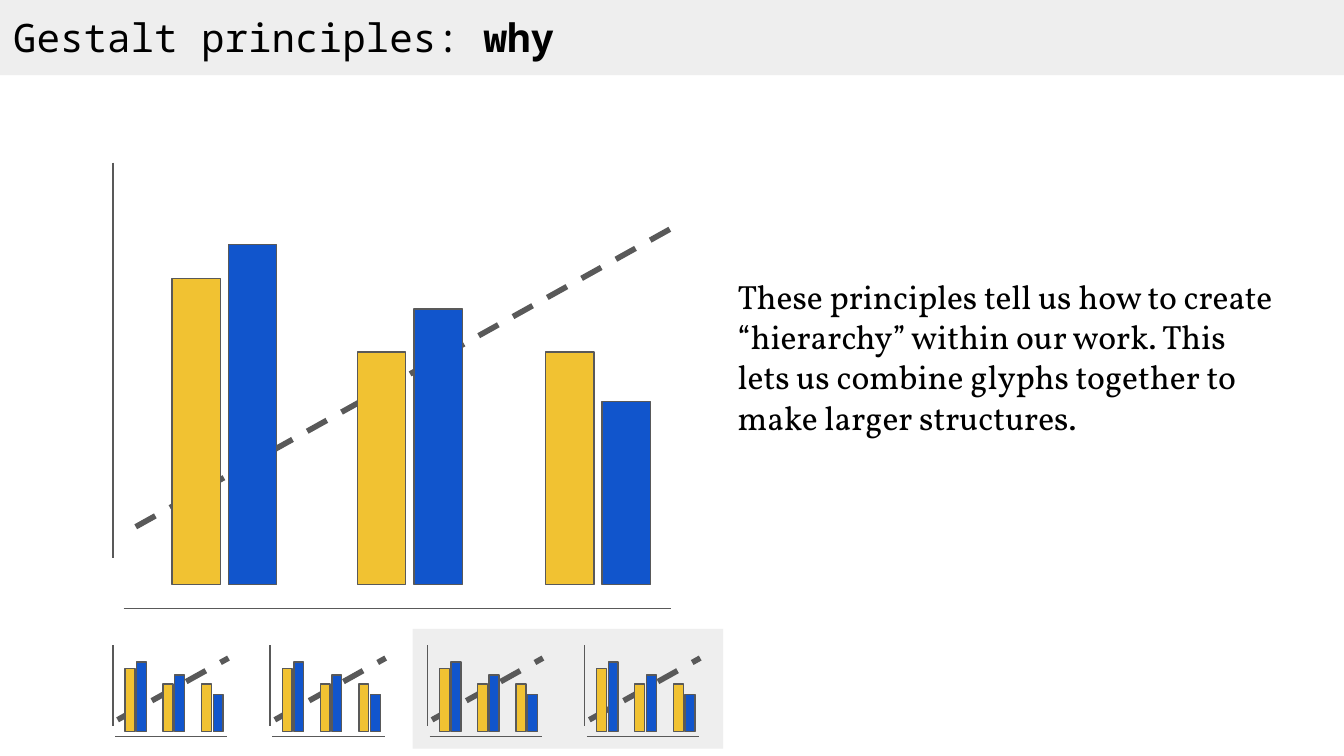
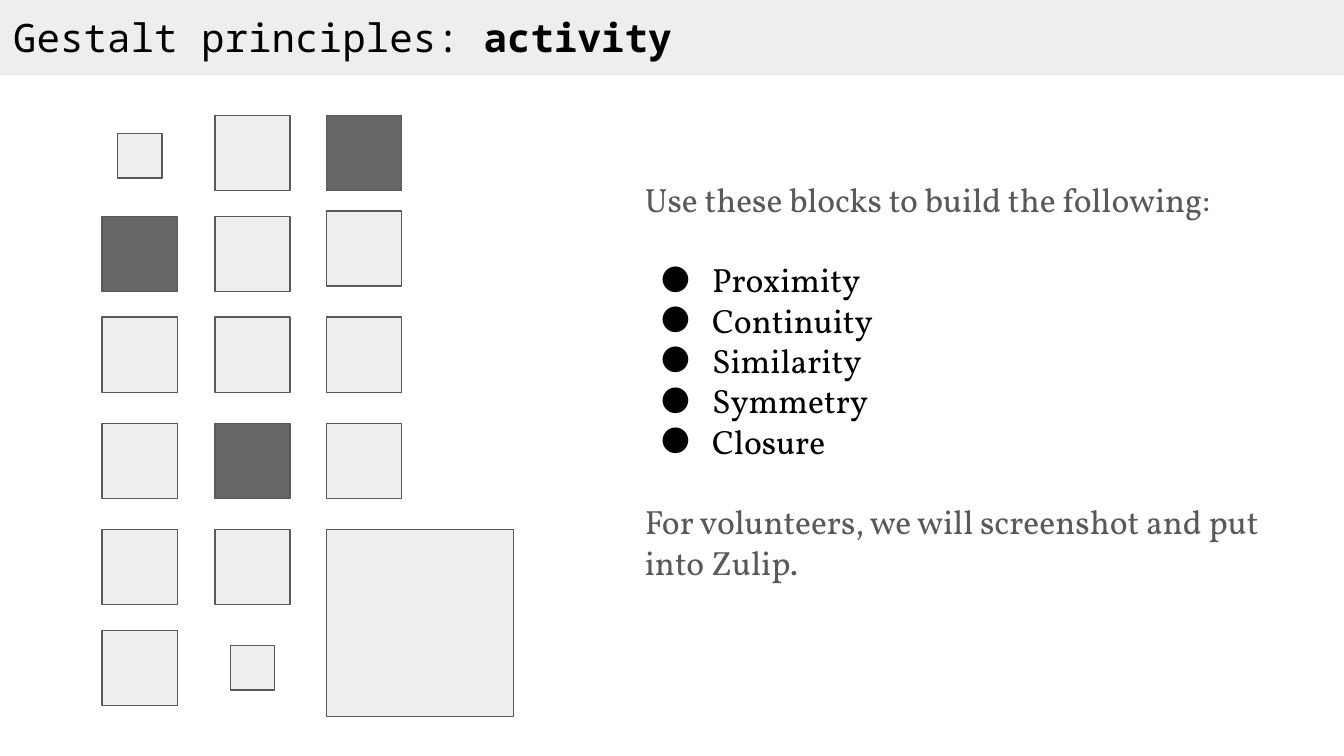
from dataclasses import dataclass

from lxml.etree import SubElement
from pptx import Presentation
from pptx.dml.color import RGBColor as Color
from pptx.enum.dml import MSO_LINE_DASH_STYLE as Dash
from pptx.enum.shapes import MSO_CONNECTOR_TYPE as Connector, MSO_SHAPE as Shape
from pptx.enum.text import MSO_AUTO_SIZE as AutoSize, PP_ALIGN as Align
from pptx.oxml.ns import qn
from pptx.util import Inches, Pt


@dataclass(frozen=True)
class Theme:
    black: Color = Color.from_string("000000")
    grey: Color = Color.from_string("595959")
    dark: Color = Color.from_string("666666")
    light: Color = Color.from_string("EEEEEE")
    yellow: Color = Color.from_string("F1C232")
    blue: Color = Color.from_string("1155CC")
    title_font: str = "Noto Sans Mono"
    body_font: str = "Vollkorn"
    title_size: Pt = Pt(21)
    body_size: Pt = Pt(18)
    paragraph_gap: Pt = Pt(21.6)
    thin: Pt = Pt(0.75)
    thick: Pt = Pt(3)


THEME = Theme()

SLIDE_WIDTH = 10
SLIDE_HEIGHT = SLIDE_WIDTH * 9 / 16

# Bar chart, measured from the top of its vertical axis
CHART_WIDTH = 4.19
BAR_WIDTH = 0.36
BAR_STEP = 0.42
BAR_BASE = 3.14
BAR_PAIRS = [(0.44, 2.28, 2.53), (1.82, 1.73, 2.05), (3.22, 1.73, 1.36)]
CHART_LEFT = 0.84
MINI_WIDTH = 0.86
MINI_STEP = 1.17

# Blocks: s small, l light, d dark, b big
BLOCK_ROWS = ["sld", "dll", "lll", "ldl", "llb", "ls"]
ROW_TOPS = [0.86, 1.61, 2.36, 3.15, 3.94, 4.69]
COLUMN_LEFTS = [0.76, 1.6, 2.43]
BLOCK_SIZE = 0.56
BLOCK_SIZES = {"s": 0.33, "b": 1.39}
NUDGES = {(0, 0): 0.02, (1, 2): -0.04}

PRINCIPLES = ["Proximity", "Continuity", "Similarity", "Symmetry", "Closure"]


def add_rectangle(shapes, left, top, width, height, fill, outlined=True):
    shape = shapes.add_shape(
        Shape.RECTANGLE, Inches(left), Inches(top), Inches(width), Inches(height)
    )
    shape.shadow.inherit = False
    shape.fill.solid()
    shape.fill.fore_color.rgb = fill
    if outlined:
        shape.line.color.rgb = THEME.grey
        shape.line.width = THEME.thin
    else:
        shape.line.fill.background()


def add_line(shapes, start, end, width=THEME.thin, dash=None):
    line = shapes.add_connector(Connector.STRAIGHT, *map(Inches, start + end))
    line.line.color.rgb = THEME.grey
    line.line.width = width
    if dash:
        line.line.dash_style = dash
    SubElement(line._element.spPr, qn("a:effectLst"))


def add_text_box(slide, left, top, width, height, grow=True):
    box = slide.shapes.add_textbox(
        Inches(left), Inches(top), Inches(width), Inches(height)
    )
    text_frame = box.text_frame
    text_frame.word_wrap = True
    text_frame.auto_size = AutoSize.SHAPE_TO_FIT_TEXT if grow else AutoSize.NONE
    text_frame.margin_left = text_frame.margin_right = Inches(0.1)
    text_frame.margin_top = text_frame.margin_bottom = Inches(0.1)
    return text_frame


def format_run(run, font, size, color, bold=False):
    run.font.name = font
    run.font.size = size
    run.font.color.rgb = color
    run.font.bold = bold


def set_body_text(paragraph, text, color):
    paragraph.text = text
    paragraph.alignment = Align.LEFT
    format_run(paragraph.runs[0], THEME.body_font, THEME.body_size, color)


def add_bullet(paragraph):
    properties = paragraph._p.get_or_add_pPr()
    properties.set("marL", str(Inches(0.5)))
    properties.set("indent", str(Inches(-0.38)))
    color = SubElement(properties, qn("a:buClr"))
    SubElement(color, qn("a:srgbClr"), val=str(THEME.black))
    SubElement(properties, qn("a:buFont"), typeface=THEME.body_font)
    SubElement(properties, qn("a:buChar"), char="●")


def add_title(slide, topic):
    add_rectangle(slide.shapes, -0.01, 0, 10.02, 0.56, THEME.light, outlined=False)
    paragraph = add_text_box(slide, 0, 0, 9.86, 0.56).paragraphs[0]
    for text, bold in [("Gestalt principles:", False), (f" {topic}", True)]:
        run = paragraph.add_run()
        run.text = text
        format_run(run, THEME.title_font, THEME.title_size, THEME.black, bold)


def draw_bar_chart(shapes, left, top, scale=1):
    """Draw the trend line, the axes and the bars, in that order."""

    def place(x, y):
        return left + x * scale, top + y * scale

    add_line(shapes, place(0.17, 2.71), place(CHART_WIDTH, 0.47),
             THEME.thick, Dash.DASH)
    add_line(shapes, place(0.08, 3.32), place(4.15, 3.32))
    add_line(shapes, place(0, 0), place(0, 2.94))
    for pair_left, *heights in BAR_PAIRS:
        for index, (height, fill) in enumerate(
            zip(heights, (THEME.yellow, THEME.blue))
        ):
            corner = place(pair_left + index * BAR_STEP, BAR_BASE - height)
            add_rectangle(shapes, *corner, BAR_WIDTH * scale, height * scale, fill)


def draw_blocks(shapes):
    for row, (kinds, row_top) in enumerate(zip(BLOCK_ROWS, ROW_TOPS)):
        for column, (kind, left) in enumerate(zip(kinds, COLUMN_LEFTS)):
            size = BLOCK_SIZES.get(kind, BLOCK_SIZE)
            top = row_top + NUDGES.get((row, column), 0)
            inset = max(0, (BLOCK_SIZE - size) / 2)
            fill = THEME.dark if kind == "d" else THEME.light
            add_rectangle(shapes, left + inset, top + inset, size, size, fill)


def build_why(slide):
    add_rectangle(slide.shapes, 3.07, 4.68, 2.31, 0.89, THEME.light, outlined=False)
    add_title(slide, "why")
    set_body_text(
        add_text_box(slide, 5.39, 1.95, 4.18, 1.73).paragraphs[0],
        "These principles tell us how to create “hierarchy” within our work. "
        "This lets us combine glyphs together to make larger structures.",
        THEME.black,
    )
    draw_bar_chart(slide.shapes, CHART_LEFT, 1.21)
    for index in range(4):
        group = slide.shapes.add_group_shape()
        draw_bar_chart(group.shapes, CHART_LEFT + index * MINI_STEP, 4.8,
                       MINI_WIDTH / CHART_WIDTH)


def build_activity(slide):
    add_title(slide, "activity")
    draw_blocks(slide.shapes)
    text_frame = add_text_box(slide, 4.7, 1.23, 4.84, 3.17, grow=False)
    set_body_text(text_frame.paragraphs[0],
                  "Use these blocks to build the following:", THEME.grey)
    for index, principle in enumerate(PRINCIPLES):
        paragraph = text_frame.add_paragraph()
        if index == 0:
            paragraph.space_before = THEME.paragraph_gap
        add_bullet(paragraph)
        set_body_text(paragraph, principle, THEME.black)
    closing = text_frame.add_paragraph()
    closing.space_before = THEME.paragraph_gap
    set_body_text(closing, "For volunteers, we will screenshot and put into Zulip.",
                  THEME.grey)


def main():
    presentation = Presentation()
    presentation.slide_width = Inches(SLIDE_WIDTH)
    presentation.slide_height = Inches(SLIDE_HEIGHT)
    blank = presentation.slide_layouts[6]
    for build in (build_why, build_activity):
        build(presentation.slides.add_slide(blank))
    presentation.save("out.pptx")


if __name__ == "__main__":
    main()
